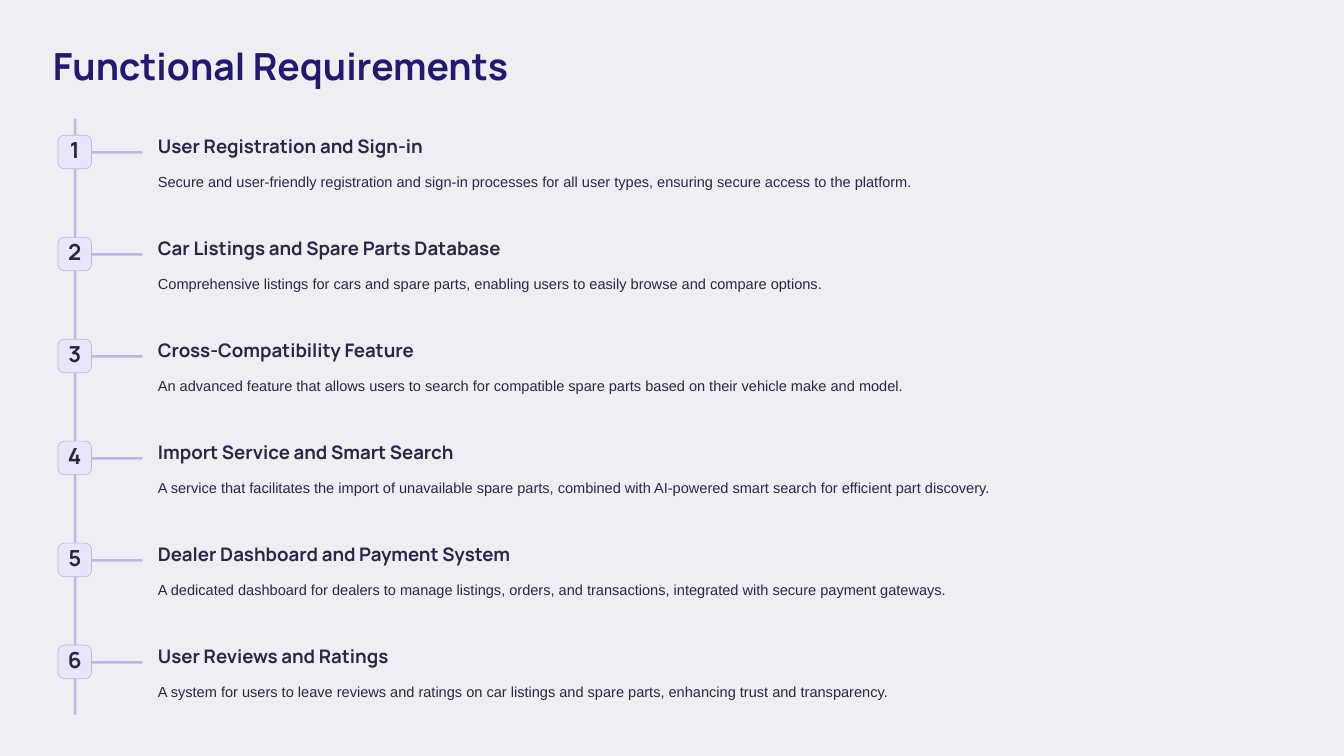
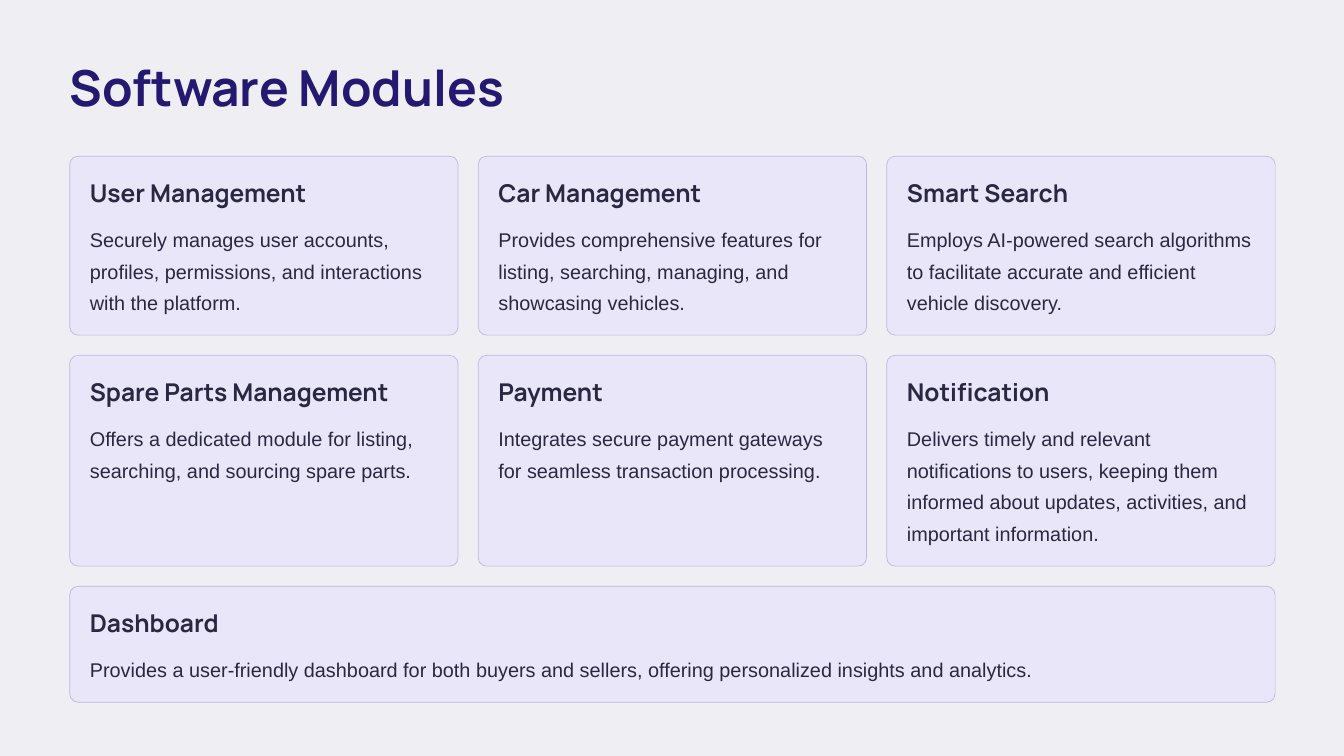
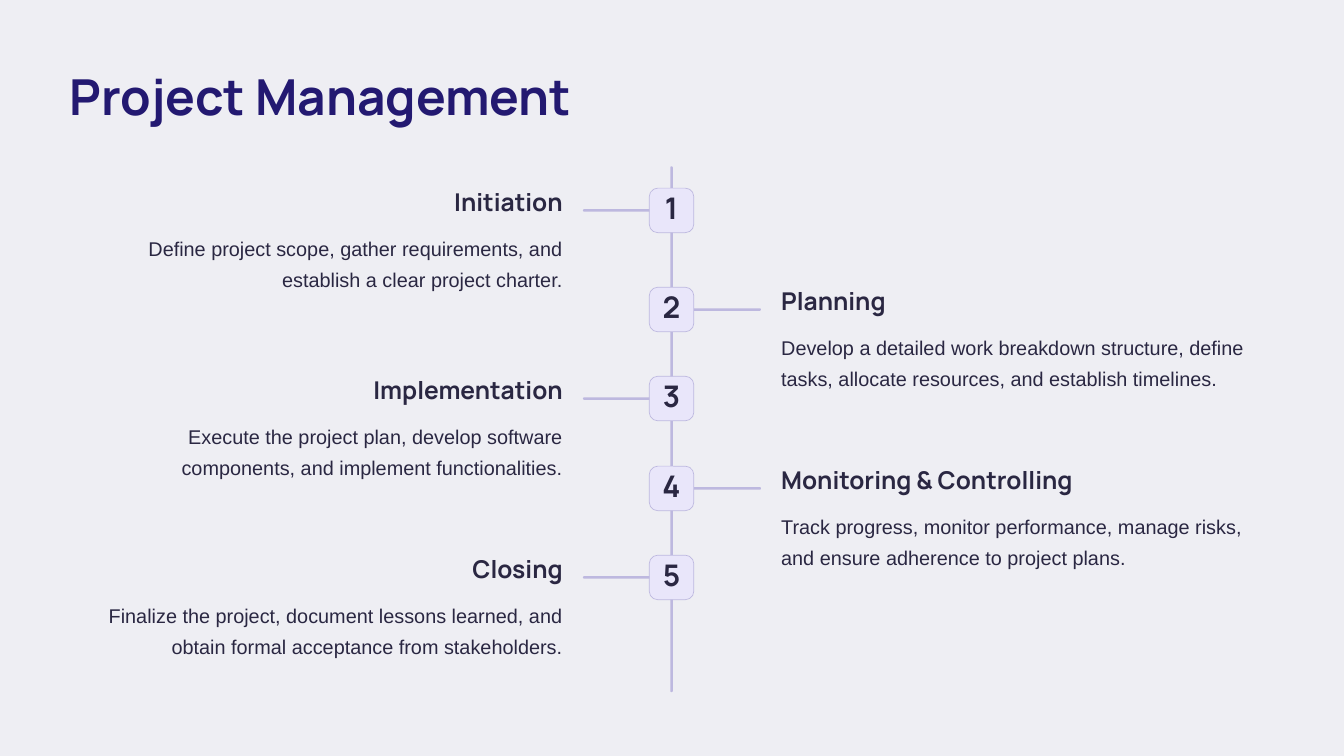
from pptx import Presentation
from pptx.dml.color import RGBColor
from pptx.enum.shapes import MSO_SHAPE
from pptx.enum.text import MSO_ANCHOR, PP_ALIGN
from pptx.util import Inches, Pt

ROUND_RECT = MSO_SHAPE.ROUNDED_RECTANGLE
TOP = MSO_ANCHOR.TOP
LEFT, CENTER, RIGHT = PP_ALIGN.LEFT, PP_ALIGN.CENTER, PP_ALIGN.RIGHT

# Shared colours, fonts and measures
BACKGROUND, TITLE, INK = "EEEEF3", "231971", "2A2742"
PANEL, RULE = "E9E6FA", "BDB8DF"
HEAD_FONT, BODY_FONT = "Manrope", "Arial"
MARGIN = 0.83
CONTENT_W = 14.35
RULE_W = 0.03

# Text styles: font, size, line spacing, bold, colour
TITLE_SMALL = (HEAD_FONT, 32, 40, True, TITLE)
TITLE_LARGE = (HEAD_FONT, 42.5, 53, True, TITLE)
HEAD_SMALL = (HEAD_FONT, 16, 20, True, INK)
HEAD_LARGE = (HEAD_FONT, 21, 26.5, True, INK)
BODY_SMALL = (BODY_FONT, 12.5, 20.5, False, INK)
BODY_LARGE = (BODY_FONT, 17, 27, False, INK)
NUMBER_SMALL = (HEAD_FONT, 19, 19, True, INK)
NUMBER_LARGE = (HEAD_FONT, 25.5, 25.5, True, INK)

REQUIREMENTS = [
    ("User Registration and Sign-in",
     "Secure and user-friendly registration and sign-in processes for all user types, "
     "ensuring secure access to the platform."),
    ("Car Listings and Spare Parts Database",
     "Comprehensive listings for cars and spare parts, enabling users to easily browse "
     "and compare options."),
    ("Cross-Compatibility Feature",
     "An advanced feature that allows users to search for compatible spare parts based "
     "on their vehicle make and model."),
    ("Import Service and Smart Search",
     "A service that facilitates the import of unavailable spare parts, combined with "
     "AI-powered smart search for efficient part discovery."),
    ("Dealer Dashboard and Payment System",
     "A dedicated dashboard for dealers to manage listings, orders, and transactions, "
     "integrated with secure payment gateways."),
    ("User Reviews and Ratings",
     "A system for users to leave reviews and ratings on car listings and spare parts, "
     "enhancing trust and transparency."),
]

# Each row: height, then its cards
MODULE_ROWS = [
    (2.13, [
        ("User Management",
         "Securely manages user accounts, profiles, permissions, and interactions with "
         "the platform."),
        ("Car Management",
         "Provides comprehensive features for listing, searching, managing, and "
         "showcasing vehicles."),
        ("Smart Search",
         "Employs AI-powered search algorithms to facilitate accurate and efficient "
         "vehicle discovery."),
    ]),
    (2.51, [
        ("Spare Parts Management",
         "Offers a dedicated module for listing, searching, and sourcing spare parts."),
        ("Payment",
         "Integrates secure payment gateways for seamless transaction processing."),
        ("Notification",
         "Delivers timely and relevant notifications to users, keeping them informed "
         "about updates, activities, and important information."),
    ]),
    (1.38, [
        ("Dashboard",
         "Provides a user-friendly dashboard for both buyers and sellers, offering "
         "personalized insights and analytics."),
    ]),
]

# Each phase: top of its badge, heading, body
PHASES = [
    (2.24, "Initiation",
     "Define project scope, gather requirements, and establish a clear project charter."),
    (3.42, "Planning",
     "Develop a detailed work breakdown structure, define tasks, allocate resources, "
     "and establish timelines."),
    (4.48, "Implementation",
     "Execute the project plan, develop software components, and implement "
     "functionalities."),
    (5.55, "Monitoring & Controlling",
     "Track progress, monitor performance, manage risks, and ensure adherence to "
     "project plans."),
    (6.61, "Closing",
     "Finalize the project, document lessons learned, and obtain formal acceptance "
     "from stakeholders."),
]


def rgb(color):
    return RGBColor.from_string(color)


def write(tf, text, style, align=LEFT, inset_top=0):
    font, size, spacing, bold, color = style
    tf.word_wrap = True
    tf.vertical_anchor = TOP
    tf.margin_left = tf.margin_right = tf.margin_bottom = 0
    tf.margin_top = Inches(inset_top)
    p = tf.paragraphs[0]
    p.text = text
    p.alignment = align
    p.line_spacing = Pt(spacing)
    p.font.name = font
    p.font.size = Pt(size)
    p.font.bold = bold
    p.font.color.rgb = rgb(color)


def add_text(s, x, y, w, h, text, style, align=LEFT):
    box = s.shapes.add_textbox(Inches(x), Inches(y), Inches(w), Inches(h))
    write(box.text_frame, text, style, align)


def add_round(s, x, y, w, h, radius, fill, line=None):
    sp = s.shapes.add_shape(ROUND_RECT, Inches(x), Inches(y), Inches(w), Inches(h))
    sp.adjustments[0] = radius / min(w, h)
    sp.shadow.inherit = False
    sp.fill.solid()
    sp.fill.fore_color.rgb = rgb(fill)
    if line:
        sp.line.color.rgb = rgb(line)
        sp.line.width = Pt(0.6)
    else:
        sp.line.fill.background()
    return sp


def add_rule(s, x, y, w, h):
    add_round(s, x, y, w, h, RULE_W / 2, RULE)


def add_badge(s, x, y, size, number, style, inset_top):
    sp = add_round(s, x, y, size, size, 0.19 * size, PANEL, RULE)
    write(sp.text_frame, str(number), style, CENTER, inset_top)


def add_card(s, x, y, w, h, heading, body):
    pad = 0.24
    add_round(s, x, y, w, h, 0.1, PANEL, RULE)
    add_text(s, x + pad, y + pad, w - 2 * pad, 0.37, heading, HEAD_LARGE)
    add_text(s, x + pad, y + 0.76, w - 2 * pad, h - 1, body, BODY_LARGE)


def new_slide(prs):
    return prs.slides.add_slide(prs.slide_layouts[6])


def requirements_slide(prs):
    s = new_slide(prs)
    add_text(s, 0.63, 0.49, CONTENT_W, 0.56, "Functional Requirements", TITLE_SMALL)
    add_rule(s, 0.88, 1.41, RULE_W, 7.1)
    first, last = 1.61, 7.68
    pitch = (last - first) / (len(REQUIREMENTS) - 1)
    for i, (heading, body) in enumerate(REQUIREMENTS):
        y = first + i * pitch
        add_rule(s, 1.07, y + 0.19, 0.63, RULE_W)
        add_badge(s, 0.69, y, 0.4, i + 1, NUMBER_SMALL, 0.05)
        add_text(s, 1.88, y - 0.02, 13.49, 0.28, heading, HEAD_SMALL)
        add_text(s, 1.88, y + 0.37, 13.49, 0.29, body, BODY_SMALL)


def modules_slide(prs):
    s = new_slide(prs)
    add_text(s, MARGIN, 0.65, CONTENT_W, 0.74, "Software Modules", TITLE_LARGE)
    gap, y = 0.24, 1.86
    for h, cards in MODULE_ROWS:
        w = (CONTENT_W - gap * (len(cards) - 1)) / len(cards)
        for i, (heading, body) in enumerate(cards):
            add_card(s, MARGIN + i * (w + gap), y, w, h, heading, body)
        y += h + gap


def phases_slide(prs):
    s = new_slide(prs)
    add_text(s, MARGIN, 0.76, CONTENT_W, 0.74, "Project Management", TITLE_LARGE)
    add_rule(s, 7.98, 1.98, RULE_W, 6.26)
    # Left and right side in turn: rule x, text x, alignment
    sides = [(6.94, MARGIN, RIGHT), (8.23, 9.3, LEFT)]
    for i, (y, heading, body) in enumerate(PHASES):
        rule_x, text_x, align = sides[i % 2]
        add_rule(s, rule_x, y + 0.25, 0.83, RULE_W)
        add_badge(s, 7.73, y, 0.53, i + 1, NUMBER_LARGE, 0.06)
        add_text(s, text_x, y - 0.03, 5.87, 0.37, heading, HEAD_LARGE, align)
        add_text(s, text_x, y + 0.48, 5.87, 0.76, body, BODY_LARGE, align)


def main():
    prs = Presentation()
    prs.slide_width, prs.slide_height = Inches(16), Inches(9)
    fill = prs.slide_master.background.fill
    fill.solid()
    fill.fore_color.rgb = rgb(BACKGROUND)
    requirements_slide(prs)
    modules_slide(prs)
    phases_slide(prs)
    prs.save("out.pptx")


if __name__ == "__main__":
    main()
